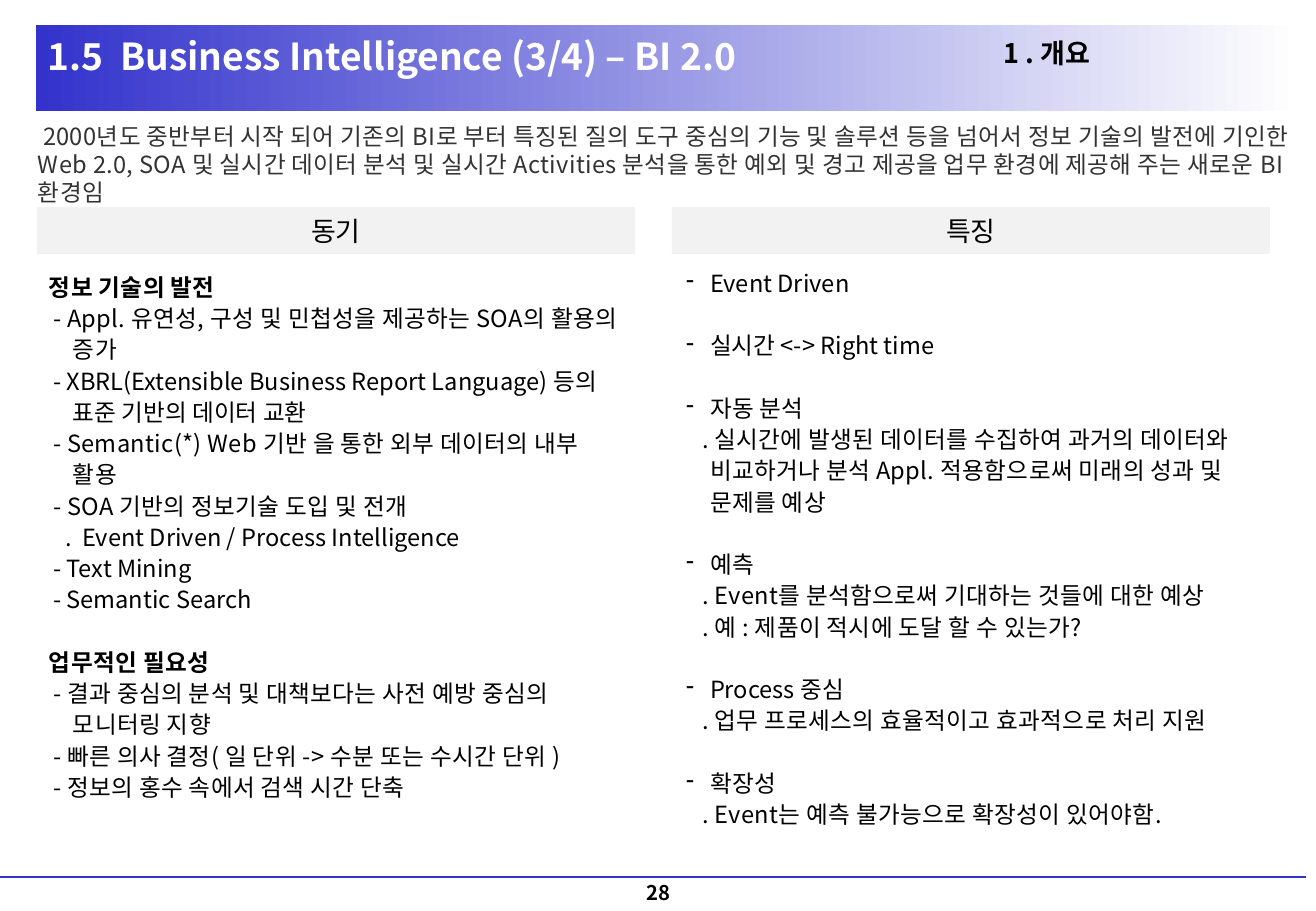
from dataclasses import dataclass

from lxml import etree
from pptx import Presentation
from pptx.dml.color import RGBColor
from pptx.enum.shapes import MSO_CONNECTOR, MSO_SHAPE
from pptx.enum.text import MSO_ANCHOR, PP_ALIGN
from pptx.oxml.ns import qn
from pptx.util import Pt

LEFT, CENTER, RIGHT = PP_ALIGN.LEFT, PP_ALIGN.CENTER, PP_ALIGN.RIGHT
TOP, MIDDLE, BOTTOM = MSO_ANCHOR.TOP, MSO_ANCHOR.MIDDLE, MSO_ANCHOR.BOTTOM
RECT = MSO_SHAPE.RECTANGLE
STRAIGHT = MSO_CONNECTOR.STRAIGHT
EMU_PER_PX = 914400 / 121.5


@dataclass(frozen=True)
class Theme:
    """Font, colours, type sizes and line heights of the slide."""
    font: str = "Noto Sans CJK KR"
    accent: str = "3333CC"
    white: str = "FFFFFF"
    black: str = "000000"
    grey: str = "333333"
    panel: str = "F2F2F2"
    title: float = 22
    heading: float = 16
    body: float = 14
    page: float = 12
    intro_line: float = 16.6
    body_line: float = 18.5
    tracking: float = 0.2
    rule: float = 1.5


T = Theme()

INTRO = ("2000년도 중반부터 시작 되어 기존의 BI로 부터 특징된 질의 도구 중심의 기능 및 솔루션 등을 "
         "넘어서 정보 기술의 발전에 기인한 Web 2.0, SOA 및 실시간 데이터 분석 및 실시간 Activities "
         "분석을 통한 예외 및 경고 제공을 업무 환경에 제공해 주는 새로운 BI 환경임")

MOTIVES = [
    ("head", "정보 기술의 발전"),
    ("dash", "- Appl. 유연성, 구성 및 민첩성을 제공하는 SOA의 활용의 증가"),
    ("dash", "- XBRL(Extensible Business Report Language) 등의 표준 기반의 데이터 교환"),
    ("dash", "- Semantic(*) Web 기반 을 통한 외부 데이터의 내부 활용"),
    ("dash", "- SOA 기반의 정보기술 도입 및 전개"),
    ("dot", ".  Event Driven / Process Intelligence"),
    ("dash", "- Text Mining"),
    ("dash", "- Semantic Search"),
    ("head", "업무적인 필요성"),
    ("dash", "- 결과 중심의 분석 및 대책보다는 사전 예방 중심의 모니터링 지향"),
    ("dash", "- 빠른 의사 결정( 일 단위 -> 수분 또는 수시간 단위 )"),
    ("dash", "- 정보의 홍수 속에서 검색 시간 단축"),
]

FEATURES = [
    ("bullet", "Event Driven"),
    ("bullet", "실시간 <-> Right time"),
    ("bullet", "자동 분석"),
    ("dot", ". 실시간에 발생된 데이터를 수집하여 과거의 데이터와 비교하거나 분석 Appl. 적용함으로써 "
            "미래의 성과 및 문제를 예상"),
    ("bullet", "예측"),
    ("dot", ". Event를 분석함으로써 기대하는 것들에 대한 예상"),
    ("dot", ". 예 : 제품이 적시에 도달 할 수 있는가?"),
    ("bullet", "Process 중심"),
    ("dot", ". 업무 프로세스의 효율적이고 효과적으로 처리 지원"),
    ("bullet", "확장성"),
    ("dot", ". Event는 예측 불가능으로 확장성이 있어야함."),
]

HANG = 24
FIRST_INDENT = {"head": -24, "bullet": -24, "dash": -20, "dot": -8}


def px(n):
    """Turn pixels into EMU."""
    return round(n * EMU_PER_PX)


def rgb(color):
    """Return the colour object of a hex string."""
    return RGBColor.from_string(color)


def style(p, size, color, bold=False, align=LEFT):
    """Set the font of a paragraph for Latin and Korean text."""
    p.alignment = align
    f = p.font
    f.size, f.bold, f.name = Pt(size), bold, T.font
    f.color.rgb = rgb(color)
    ea = etree.Element(qn("a:ea"), typeface=T.font)
    p._p.pPr.find(qn("a:defRPr")).find(qn("a:latin")).addnext(ea)


def track(p):
    """Widen the letter spacing of a paragraph that is mostly Korean."""
    hangul = sum("가" <= c <= "힣" for c in p.text)
    latin = sum(c.isascii() and c.isalpha() for c in p.text)
    if hangul > latin:
        for r in p.runs:
            r._r.get_or_add_rPr().set("spc", str(round(T.tracking * 100)))


def frame(sp, anchor, inset_x=0, inset_y=0):
    """Prepare the text frame of a shape and return it."""
    tf = sp.text_frame
    tf.word_wrap, tf.vertical_anchor = True, anchor
    tf.margin_left = tf.margin_right = px(inset_x)
    tf.margin_top = tf.margin_bottom = px(inset_y)
    return tf


def add_text(s, box, text, size, color, bold=False, align=LEFT, anchor=MIDDLE):
    """Add a text box with one paragraph and return the paragraph."""
    p = frame(s.shapes.add_textbox(*map(px, box)), anchor).paragraphs[0]
    p.text = text
    style(p, size, color, bold, align)
    return p


def add_rect(s, box):
    """Add a rectangle without line or shadow."""
    sp = s.shapes.add_shape(RECT, *map(px, box))
    sp.shadow.inherit = False
    sp.line.fill.background()
    return sp


def add_header(s, x, y, w, h):
    """Draw the fading band with the title and the chapter."""
    fill = add_rect(s, (x, y, w, h)).fill
    fill.gradient()
    fill.gradient_angle = 0
    for stop, color, pos in zip(fill.gradient_stops, (T.accent, T.white), (0, 1)):
        stop.color.rgb, stop.position = rgb(color), pos
    add_text(s, (x + 12, y + 2, 795, 58), "1.5  Business Intelligence (3/4) – BI 2.0",
             T.title, T.white, True)
    add_text(s, (x + 556, y - 1, 498, 58), "1 . 개요", T.heading, T.black, True, RIGHT)


def add_intro(s, x, y, w, h):
    """Write the introductory paragraph."""
    p = add_text(s, (x, y, w, h), INTRO, T.body, T.grey, anchor=TOP)
    p.line_spacing = Pt(T.intro_line)
    p._p.pPr.set("indent", str(px(5)))
    track(p)


def add_column(s, x, y, w, h, heading, items, list_x, list_y):
    """Draw a column: a grey heading bar above its list."""
    bar = add_rect(s, (x, y, w, 47))
    bar.fill.solid()
    bar.fill.fore_color.rgb = rgb(T.panel)
    p = frame(bar, MIDDLE).paragraphs[0]
    p.text = heading
    style(p, T.heading, T.black, align=CENTER)

    sp = s.shapes.add_textbox(px(x + list_x), px(y + list_y), px(w), px(h - list_y))
    tf = frame(sp, TOP, 12, 6)
    for i, (kind, text) in enumerate(items):
        p = tf.paragraphs[0] if i == 0 else tf.add_paragraph()
        p.text = text
        style(p, T.body, T.black, kind == "head")
        track(p)
        p.line_spacing = Pt(T.body_line)
        pPr = p._p.pPr
        pPr.set("marL", str(px(HANG)))
        pPr.set("indent", str(px(FIRST_INDENT[kind])))
        if i and kind in ("head", "bullet"):
            p.space_before = Pt(T.body_line)
        if kind == "bullet":
            mark = etree.Element(qn("a:buChar"), char="-")
            pPr.find(qn("a:defRPr")).addprevious(mark)


def add_footer(s, x, y, w, h):
    """Draw the rule and the page number."""
    line = s.shapes.add_connector(STRAIGHT, px(x + w), px(y), px(x), px(y))
    line.line.color.rgb = rgb(T.accent)
    line.line.width = Pt(T.rule)
    etree.SubElement(line._element.spPr, qn("a:effectLst"))
    add_text(s, (x + 521, y, 275, h), "28", T.page, T.black, True, CENTER, BOTTOM)


def main():
    """Build the slide and save it."""
    prs = Presentation()
    prs.slide_width, prs.slide_height = px(1316), px(911)
    s = prs.slides.add_slide(prs.slide_layouts[6])
    add_header(s, 36, 25, 1264, 86)
    add_intro(s, 38, 122, 1254, 84)
    add_column(s, 37, 207, 598, 600, "동기", MOTIVES, 0, 57)
    add_column(s, 672, 207, 598, 632, "특징", FEATURES, 2, 53)
    add_footer(s, 0, 877, 1306, 28)
    prs.save("out.pptx")


main()
